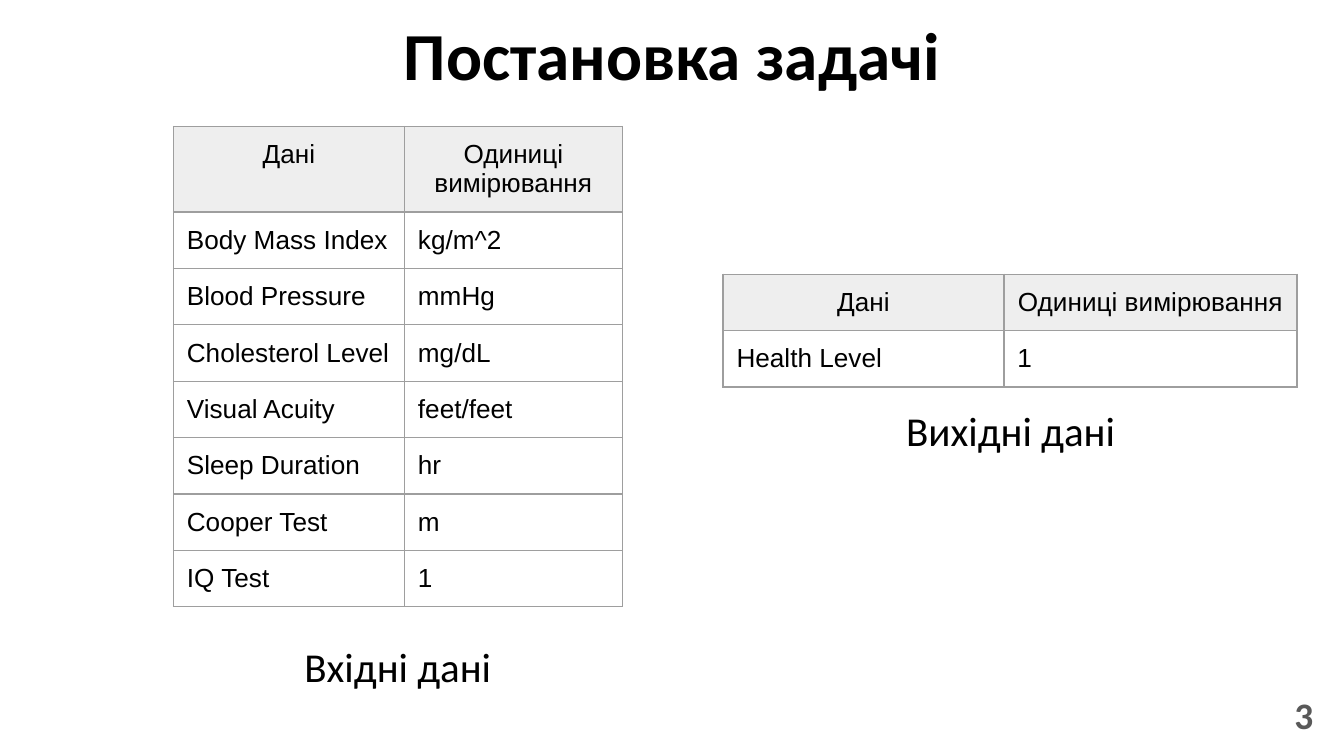
from lxml import etree
from pptx import Presentation
from pptx.dml.color import RGBColor
from pptx.enum import text
from pptx.oxml import ns
from pptx.util import Inches, Pt

COLORS = {"ink": "000000", "page_number": "595959", "border": "9E9E9E", "header": "EEEEEE"}
HEADER = ("Дані", "Одиниці вимірювання")
INPUTS = [
    HEADER,
    ("Body Mass Index", "kg/m^2"),
    ("Blood Pressure", "mmHg"),
    ("Cholesterol Level", "mg/dL"),
    ("Visual Acuity", "feet/feet"),
    ("Sleep Duration", "hr"),
    ("Cooper Test", "m"),
    ("IQ Test", "1"),
]
OUTPUTS = [HEADER, ("Health Level", "1")]
SLIDE_WIDTH = 10
ROW_HEIGHT = 0.42
INSET = Inches(0.1)


def write(frame, words, size, font="Calibri", color="ink", bold=False,
          align=text.PP_ALIGN.CENTER):
    para = frame.paragraphs[0]
    para.alignment = align
    span = para.add_run()
    span.text = words
    span.font.size = Pt(size)
    span.font.name = font
    span.font.bold = bold
    span.font.color.rgb = RGBColor.from_string(COLORS[color])
    return para


def set_frame(box, left, top, width, height, anchor=text.MSO_ANCHOR.TOP):
    """Place a text shape and give it even insets; return its text frame."""
    box.left, box.top = Inches(left), Inches(top)
    box.width, box.height = Inches(width), Inches(height)
    frame = box.text_frame
    frame.word_wrap = True
    frame.auto_size = text.MSO_AUTO_SIZE.NONE
    frame.vertical_anchor = anchor
    frame.margin_left = frame.margin_right = INSET
    frame.margin_top = frame.margin_bottom = INSET
    return frame


def add_caption(box, words, left, top, width):
    para = write(set_frame(box, left, top, width, 0.5), words, 22)
    para.line_spacing = 0.8
    para.space_before = Pt(0)
    para.space_after = Pt(12)
    properties = para._p.get_or_add_pPr()
    properties.set("marL", "0")
    properties.set("indent", "0")
    etree.SubElement(properties, ns.qn("a:buNone"))


def set_borders(cell):
    properties = cell._tc.get_or_add_tcPr()
    for position, side in enumerate(("lnL", "lnR", "lnT", "lnB")):
        line = etree.Element(ns.qn(f"a:{side}"), w=str(Pt(0.75)))
        fill = etree.SubElement(line, ns.qn("a:solidFill"))
        etree.SubElement(fill, ns.qn("a:srgbClr"), val=COLORS["border"])
        properties.insert(position, line)


def add_data_table(page, rows, left, top, widths):
    table = page.shapes.add_table(
        len(rows), len(widths), Inches(left), Inches(top),
        Inches(sum(widths)), Inches(ROW_HEIGHT * len(rows))).table
    table.first_row = table.horz_banding = False
    for column, width in zip(table.columns, widths):
        column.width = Inches(width)
    for row_index, row in enumerate(rows):
        table.rows[row_index].height = Inches(ROW_HEIGHT)
        for column_index, words in enumerate(row):
            cell = table.cell(row_index, column_index)
            cell.margin_left = cell.margin_right = INSET
            cell.margin_top = cell.margin_bottom = INSET
            if row_index == 0:
                align = text.PP_ALIGN.CENTER
                cell.fill.solid()
                cell.fill.fore_color.rgb = RGBColor.from_string(COLORS["header"])
            else:
                align = text.PP_ALIGN.LEFT
                cell.fill.background()
            set_borders(cell)
            write(cell.text_frame, words, 14, font="Arial", align=align)


def add_page_number(page, number):
    box = page.shapes.add_textbox(0, 0, 0, 0)
    frame = set_frame(box, 9.27, 5.1, 0.6, 0.43, text.MSO_ANCHOR.MIDDLE)
    write(frame, number, 20, color="page_number", bold=True, align=text.PP_ALIGN.RIGHT)


def main():
    deck = Presentation()
    deck.slide_width = Inches(SLIDE_WIDTH)
    deck.slide_height = Inches(SLIDE_WIDTH * 9 / 16)
    page = deck.slides.add_slide(deck.slide_layouts.get_by_name("Two Content"))
    title, input_caption, output_caption = page.placeholders

    write(set_frame(title, 0.34, 0, 9.32, 0.77), "Постановка задачі", 36, bold=True)
    add_caption(input_caption, "Вхідні дані", 1.29, 4.74, 3.34)
    add_caption(output_caption, "Вихідні дані", 5.38, 2.99, 4.28)
    add_page_number(page, "3")
    add_data_table(page, INPUTS, 1.29, 0.94, (1.72, 1.62))
    add_data_table(page, OUTPUTS, 5.38, 2.04, (2.09, 2.18))
    deck.save("out.pptx")


if __name__ == "__main__":
    main()
